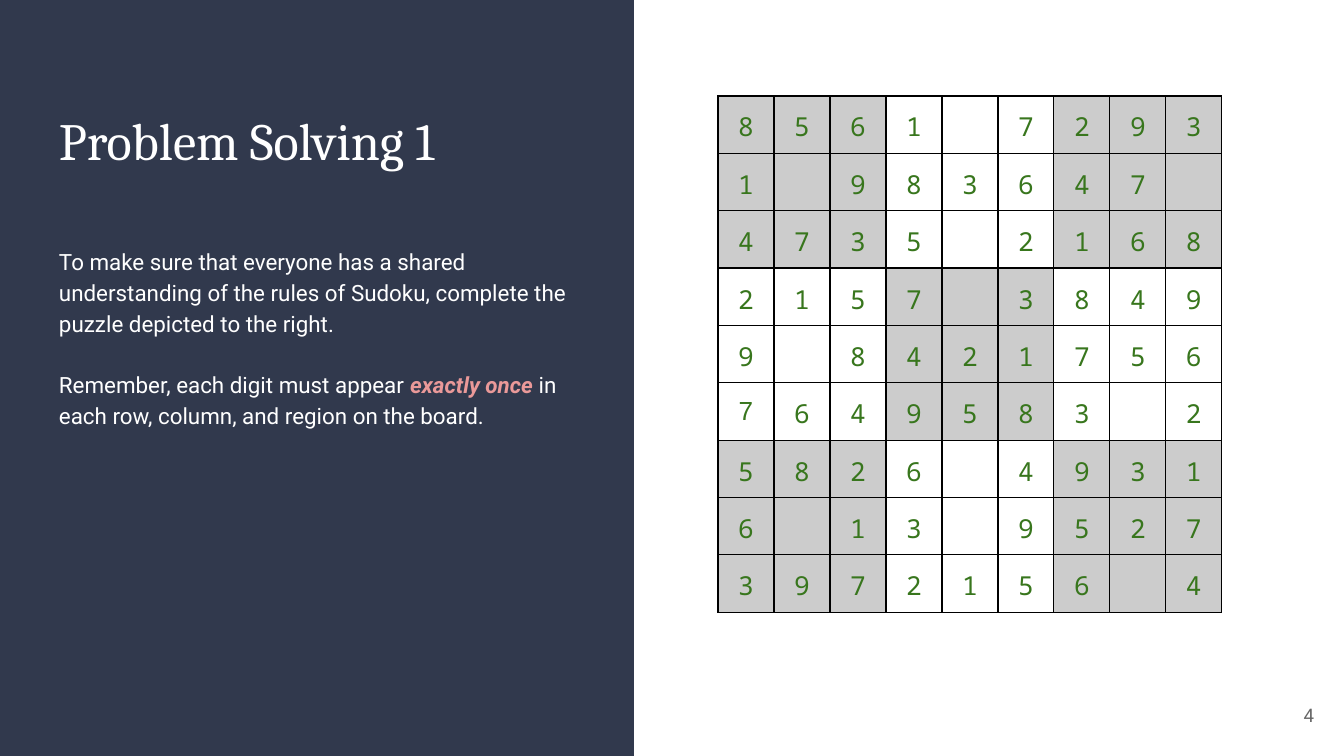
from lxml import etree
from pptx import Presentation
from pptx.dml.color import RGBColor
from pptx.enum.shapes import MSO_SHAPE
from pptx.enum.text import MSO_ANCHOR, PP_ALIGN
from pptx.oxml.ns import qn
from pptx.util import Pt

PX = 9144000 / 1344
RECTANGLE = MSO_SHAPE.RECTANGLE
TOP, MIDDLE = MSO_ANCHOR.TOP, MSO_ANCHOR.MIDDLE
CENTER, RIGHT = PP_ALIGN.CENTER, PP_ALIGN.RIGHT

NAVY = RGBColor(0x31, 0x39, 0x4D)
WHITE = RGBColor(0xFF, 0xFF, 0xFF)
PINK = RGBColor(0xEA, 0x99, 0x99)
GRAY = RGBColor(0x66, 0x66, 0x66)
SHADE = RGBColor(0xCC, 0xCC, 0xCC)
GREEN = RGBColor(0x38, 0x76, 0x1D)

PUZZLE = [
    "8561 7293",
    "1 983647 ",
    "4735 2168",
    "2157 3849",
    "9 8421756",
    "7649583 2",
    "5826 4931",
    "6 13 9527",
    "3972156 4",
]
CELL = 56


def px(*lengths):
    return [round(length * PX) for length in lengths]


def add_text(bounds, paragraphs, font, size, color, anchor=TOP):
    """Add a wrapped box; each paragraph is a list of its spans' texts."""
    box = page.shapes.add_textbox(*px(*bounds))
    frame = box.text_frame
    frame.word_wrap = True
    frame.vertical_anchor = anchor
    frame.margin_left, frame.margin_top, frame.margin_right, frame.margin_bottom = px(13, 13, 13, 13)
    for index, texts in enumerate(paragraphs):
        para = frame.add_paragraph() if index else frame.paragraphs[0]
        para.font.name = font
        para.font.size = Pt(size)
        para.font.color.rgb = color
        for text in texts:
            span = para.add_run()
            span.text = text
            span.font.name = font
            span.font.size = Pt(size)
            span.font.color.rgb = color
    return frame.paragraphs


deck = Presentation()
deck.slide_width, deck.slide_height = px(1344, 756)
page = deck.slides.add_slide(deck.slide_layouts[6])

# Navy panel on the left: a slanted shape under a full-height rectangle
builder = page.shapes.build_freeform(0, 0, scale=PX)
builder.add_line_segments([(634, 0), (634, 516), (0, 718)])
slant = builder.convert_to_shape()
panel = page.shapes.add_shape(RECTANGLE, *px(0, 0, 634, 756))
for shape in (slant, panel):
    shape.shadow.inherit = False
    shape.fill.solid()
    shape.fill.fore_color.rgb = NAVY
    shape.line.fill.background()

# Title, instructions and page number
add_text((46, 95, 544, 94), [["Problem Solving 1"]], "Cambria", 28, WHITE)
task, reminder = add_text(
    (46, 200, 544, 273),
    [
        ["To make sure that everyone has a shared understanding of the rules of "
         "Sudoku, complete the puzzle depicted to the right."],
        ["Remember, each digit must appear ", "exactly once ",
         "in each row, column, and region on the board."],
    ],
    "Roboto", 12, WHITE, MIDDLE,
)
task.line_spacing = reminder.line_spacing = 1.15
reminder.space_before = Pt(16.5)
emphasis = reminder.runs[1].font
emphasis.bold = emphasis.italic = True
emphasis.color.rgb = PINK
number, = add_text((1246, 686, 81, 58), [["4"]], "Roboto", 10, GRAY, MIDDLE)
number.alignment = RIGHT

# Sudoku board, with alternate 3 x 3 regions shaded
board = page.shapes.add_table(9, 9, *px(718, 96, 9 * CELL, 9 * CELL)).table
board.first_row = board.horz_banding = False
for line in (*board.rows, *board.columns):
    if line in board.rows:
        line.height, = px(CELL)
    else:
        line.width, = px(CELL)

for row, digits in enumerate(PUZZLE):
    for column, digit in enumerate(digits):
        cell = board.cell(row, column)
        cell.vertical_anchor = MIDDLE
        cell.margin_left, cell.margin_top, cell.margin_right, cell.margin_bottom = px(13, 13, 13, 13)
        if (row // 3 + column // 3) % 2 == 0:
            cell.fill.solid()
            cell.fill.fore_color.rgb = SHADE
        else:
            cell.fill.background()

        para = cell.text_frame.paragraphs[0]
        para.alignment = CENTER
        font = para.font
        if digit.strip():
            span = para.add_run()
            span.text = digit
            font = span.font
        font.name = "Arial" if (row, column) == (5, 0) else "Noto Sans Mono"
        font.size = Pt(14)
        font.color.rgb = GREEN

        properties = cell._tc.get_or_add_tcPr()
        for index, side in enumerate(("a:lnL", "a:lnR", "a:lnT", "a:lnB")):
            border = etree.Element(qn(side), w=str(Pt(0.75)))
            fill = etree.SubElement(border, qn("a:solidFill"))
            etree.SubElement(fill, qn("a:srgbClr"), val="000000")
            properties.insert(index, border)

deck.save("out.pptx")
